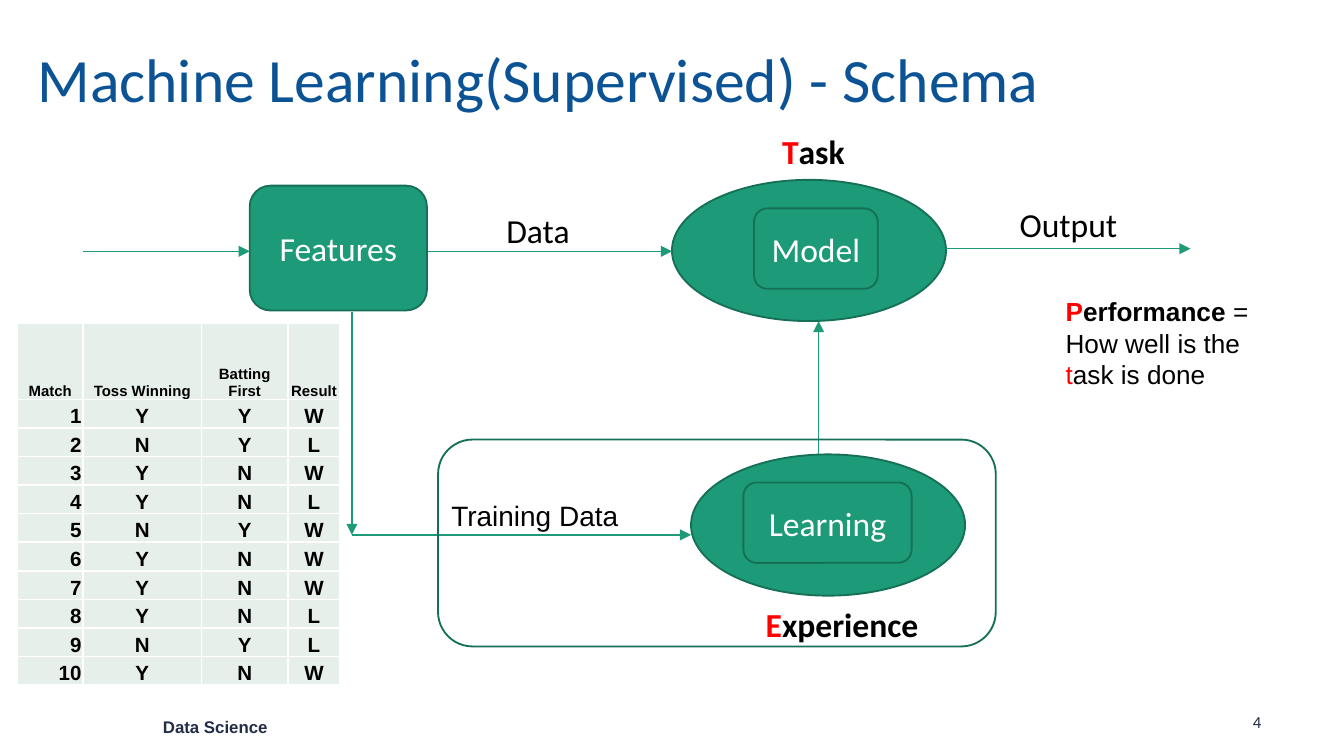
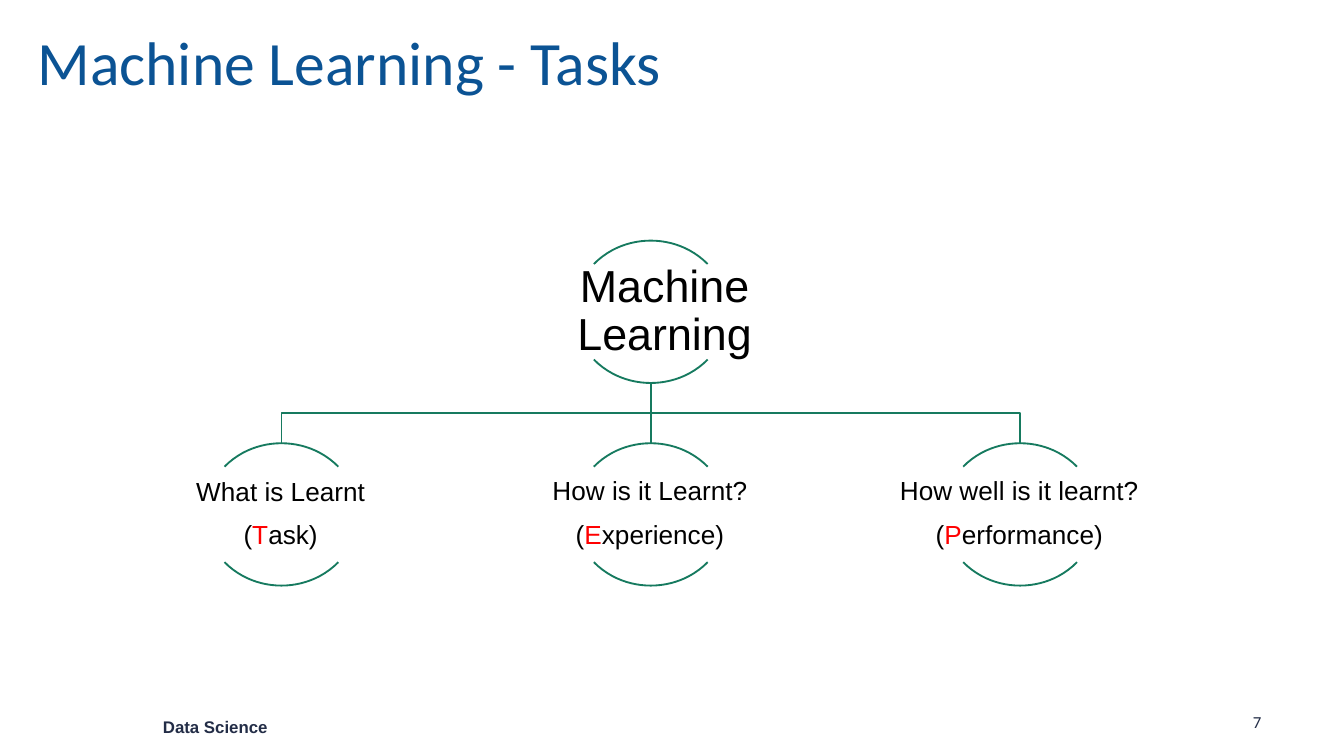
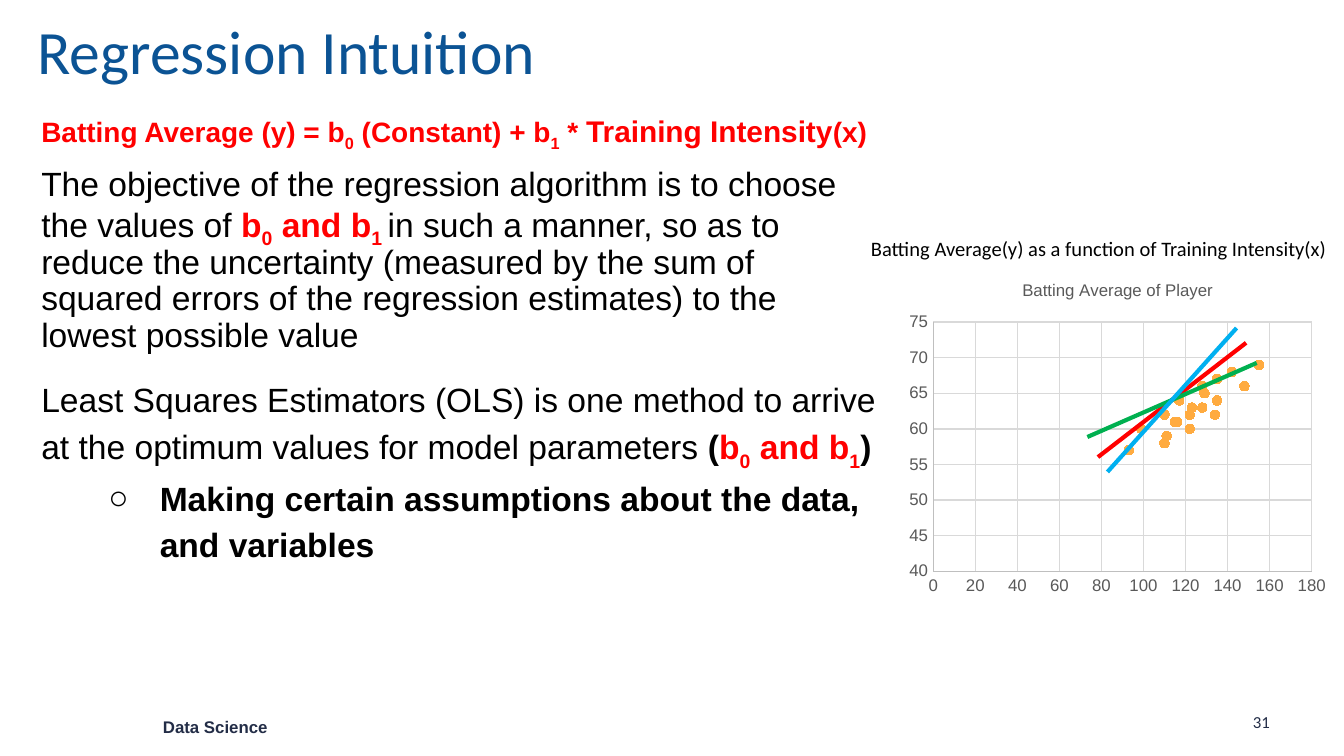
from lxml.etree import SubElement
from pptx import Presentation
from pptx.chart.data import XyChartData
from pptx.dml.color import RGBColor
from pptx.enum.chart import XL_CHART_TYPE as ChartType, XL_MARKER_STYLE as Marker, XL_TICK_MARK as Tick
from pptx.enum.shapes import MSO_CONNECTOR as Connector, MSO_SHAPE as Shape
from pptx.enum.text import MSO_ANCHOR as Anchor, MSO_AUTO_SIZE as AutoSize, PP_ALIGN as Align
from pptx.oxml.ns import qn
from pptx.util import Cm, Pt

BLACK = RGBColor(0x00, 0x00, 0x00)
WHITE = RGBColor(0xFF, 0xFF, 0xFF)
RED = RGBColor(0xFF, 0x00, 0x00)
GREEN = RGBColor(0x00, 0xB0, 0x50)
SKY = RGBColor(0x00, 0xB0, 0xF0)
NAVY = RGBColor(0x23, 0x2D, 0x47)
TITLE_BLUE = RGBColor(0x0B, 0x53, 0x94)
TEAL = RGBColor(0x1D, 0x9A, 0x78)
TEAL_EDGE = RGBColor(0x15, 0x70, 0x57)
TREE_LINE = RGBColor(0x16, 0x7A, 0x5F)
CELL_FILL = RGBColor(0xE7, 0xEF, 0xEB)
ORANGE = RGBColor(0xFF, 0xAB, 0x40)
CHART_TEXT = RGBColor(0x59, 0x59, 0x59)
AXIS_LINE = RGBColor(0xBF, 0xBF, 0xBF)
GRID = RGBColor(0xD9, 0xD9, 0xD9)

TITLE_ONLY, TITLE_AND_BODY = 5, 1


def red(text, **style):
    return text, {"color": RED, **style}


def sub(text, **style):
    return text, {"baseline": -25000, **style}


def write(frame, runs, font="Arial", size=14, color=BLACK, bold=False,
          align=Align.LEFT, spacing=1.0, before=0, bullet=None, margin=0, indent=0, level=0):
    paragraph = frame.paragraphs[0]
    if paragraph.runs:
        paragraph = frame.add_paragraph()
    properties = paragraph._p.get_or_add_pPr()
    properties.set("marL", str(Cm(margin)))
    properties.set("indent", str(Cm(indent)))
    if bullet:
        bullet_color = SubElement(properties, qn("a:buClr"))
        SubElement(bullet_color, qn("a:srgbClr"), val=str(color))
        SubElement(properties, qn("a:buChar"), char=bullet)
    else:
        SubElement(properties, qn("a:buNone"))
    paragraph.level = level
    paragraph.alignment = align
    paragraph.line_spacing = spacing
    paragraph.space_before = Pt(before)
    for part in [runs] if isinstance(runs, str) else runs:
        text, style = (part, {}) if isinstance(part, str) else part
        run = paragraph.add_run()
        run.text = text
        run.font.name = font
        run.font.size = Pt(style.get("size", size))
        run.font.bold = style.get("bold", bold)
        run.font.color.rgb = style.get("color", color)
        if "baseline" in style:
            run._r.get_or_add_rPr().set("baseline", str(style["baseline"]))


class Deck:
    def __init__(self):
        self.file = Presentation()
        self.file.slide_width, self.file.slide_height = Cm(25.4), Cm(14.29)

    def start(self, title, number, top, height, layout=TITLE_ONLY):
        self.slide = self.file.slides.add_slide(self.file.slide_layouts[layout])
        self.shapes = self.slide.shapes
        heading = self.shapes.title
        self.place(heading, 0.53, top, 21.89, height)
        frame = self.prepare(heading, (0.18, 0.1), Anchor.MIDDLE)
        write(frame, title, font="Calibri", size=33, color=TITLE_BLUE, spacing=0.9)
        self.text(2.9, 13.44, 4.17, 0.58, ["Data Science"], inset=(0.18, 0.1),
                  size=9, color=NAVY, bold=True)
        self.text(23.5, 13.36, 1.27, 0.58, [str(number)], inset=(0.18, 0.1),
                  font="Calibri", size=9, color=NAVY)

    def place(self, item, left, top, width, height):
        item.left, item.top, item.width, item.height = map(Cm, (left, top, width, height))

    def prepare(self, item, inset=(0.25, 0.13), anchor=Anchor.TOP, fit=AutoSize.NONE):
        frame = item.text_frame
        frame.word_wrap = True
        frame.auto_size = fit
        frame.vertical_anchor = anchor
        frame.margin_left = frame.margin_right = Cm(inset[0])
        frame.margin_top = frame.margin_bottom = Cm(inset[1])
        return frame

    def text(self, left, top, width, height, paragraphs, inset=(0.25, 0.13),
             anchor=Anchor.TOP, fit=AutoSize.SHAPE_TO_FIT_TEXT, gap=0, **style):
        box = self.shapes.add_textbox(*map(Cm, (left, top, width, height)))
        frame = self.prepare(box, inset, anchor, fit)
        for index, runs in enumerate(paragraphs):
            write(frame, runs, before=gap if index else 0, **style)

    def outline(self, item, color):
        item.shadow.inherit = False
        item.line.color.rgb = color
        item.line.width = Pt(1)

    def shape(self, kind, left, top, width, height, label=None, fill=TEAL, edge=TEAL_EDGE):
        item = self.shapes.add_shape(kind, *map(Cm, (left, top, width, height)))
        self.outline(item, edge)
        if fill is None:
            item.fill.background()
        else:
            item.fill.solid()
            item.fill.fore_color.rgb = fill
        if label:
            write(self.prepare(item, anchor=Anchor.MIDDLE), label, font="Calibri",
                  size=18, color=WHITE, align=Align.CENTER)
        return item

    def line(self, start, end, color=TEAL, width=0.75, arrow=False):
        item = self.shapes.add_connector(Connector.STRAIGHT, *map(Cm, (*start, *end)))
        item.line.color.rgb = color
        item.line.width = Pt(width)
        properties = item._element.spPr
        if arrow:
            SubElement(properties.find(qn("a:ln")), qn("a:tailEnd"), type="triangle")
        SubElement(properties, qn("a:effectLst"))

    def elbow(self, points):
        start, *rest = [(Cm(x), Cm(y)) for x, y in points]
        builder = self.shapes.build_freeform(*start)
        builder.add_line_segments(rest, close=False)
        item = builder.convert_to_shape()
        item.fill.background()
        self.outline(item, TREE_LINE)

    def node(self, left, top, paragraphs, width, **style):
        for first, last in ((132, 192), (24, 84)):
            arc = self.shape(Shape.ARC, left, top, 2.9, 2.69, fill=None, edge=TREE_LINE)
            arc.adjustments[0], arc.adjustments[1] = first, last
        self.text(left - 1.45, top + 0.48, width, 1.73, paragraphs, inset=(0.05, 0.05),
                  anchor=Anchor.MIDDLE, fit=AutoSize.NONE, align=Align.CENTER,
                  spacing=0.9, **style)

    def table(self, left, top, widths, heights, rows):
        frame = self.shapes.add_table(len(rows), len(widths), Cm(left), Cm(top),
                                      Cm(sum(widths)), Cm(sum(heights)))
        grid = frame.table
        grid.first_row = grid.horz_banding = False
        for column, width in zip(grid.columns, widths):
            column.width = Cm(width)
        for r, (row, height) in enumerate(zip(rows, heights)):
            grid.rows[r].height = Cm(height)
            for c, value in enumerate(row):
                align = Align.RIGHT if r and c == 0 else Align.CENTER
                self.cell(grid.cell(r, c), value, 11 if r else 8, align)

    def cell(self, cell, value, size, align):
        cell.margin_left = cell.margin_right = cell.margin_top = Cm(0.03)
        cell.margin_bottom = 0
        cell.vertical_anchor = Anchor.BOTTOM
        properties = cell._tc.get_or_add_tcPr()
        for side in ("a:lnL", "a:lnR", "a:lnT", "a:lnB"):
            border = SubElement(properties, qn(side), w=str(Pt(1)))
            SubElement(SubElement(border, qn("a:solidFill")), qn("a:srgbClr"), val=str(WHITE))
        cell.fill.solid()
        cell.fill.fore_color.rgb = CELL_FILL
        write(cell.text_frame, value, size=size, bold=True, align=align)

    def scatter(self, left, top, width, height, title, points, x_scale, y_scale):
        data = XyChartData()
        series = data.add_series("Series 1")
        for x, y in points:
            series.add_data_point(x, y)
        chart = self.shapes.add_chart(ChartType.XY_SCATTER,
                                      *map(Cm, (left, top, width, height)), data).chart
        chart.font.name, chart.font.size = "Arial", Pt(10)
        chart.font.color.rgb = BLACK
        chart.has_legend = False
        chart.has_title = True
        write(chart.chart_title.text_frame, title, size=9, color=CHART_TEXT, align=Align.CENTER)
        chart.plots[0].vary_by_categories = False
        dots = chart.plots[0].series[0]
        dots.format.line.fill.background()
        dots.marker.style, dots.marker.size = Marker.CIRCLE, 5
        dots.marker.format.fill.solid()
        dots.marker.format.fill.fore_color.rgb = ORANGE
        dots.marker.format.line.color.rgb = ORANGE
        for axis, scale in ((chart.category_axis, x_scale), (chart.value_axis, y_scale)):
            axis.minimum_scale, axis.maximum_scale, axis.major_unit = scale
            axis.major_tick_mark = axis.minor_tick_mark = Tick.NONE
            axis.has_major_gridlines = True
            for line, color in ((axis.format.line, AXIS_LINE),
                                (axis.major_gridlines.format.line, GRID)):
                line.color.rgb = color
                line.width = Pt(0.75)
            labels = axis.tick_labels.font
            labels.name, labels.size = "Arial", Pt(9)
            labels.color.rgb = CHART_TEXT


def schema_slide(deck):
    deck.start("Machine Learning(Supervised) - Schema", 4, 0.18, 2.77)
    deck.shape(Shape.OVAL, 12.7, 3.4, 5.18, 2.67)
    deck.shape(Shape.OVAL, 13.06, 8.59, 5.18, 2.67)
    deck.shape(Shape.ROUNDED_RECTANGLE, 4.72, 3.51, 3.35, 2.36, "Features")
    flows = [
        ((8.08, 4.75), (12.7, 4.75)),
        ((17.88, 4.7), (22.5, 4.7)),
        ((6.65, 10.11), (13.06, 10.11)),
        ((6.65, 5.89), (6.65, 10.11)),
        ((15.47, 8.59), (15.47, 6.07)),
        ((1.57, 4.75), (4.72, 4.75)),
    ]
    for start, end in flows:
        deck.line(start, end, arrow=True)
    deck.text(8.28, 9.3, 4.11, 0.89, ["Training Data"], size=15)
    deck.shape(Shape.ROUNDED_RECTANGLE, 14.25, 3.94, 2.34, 1.52, "Model")
    deck.shape(Shape.ROUNDED_RECTANGLE, 14.05, 9.12, 3.18, 1.52, "Learning")
    captions = [
        (9.32, 3.84, 2.34, "Data", False),
        (19.02, 3.73, 2.59, "Output", False),
        (14.53, 2.34, 2.08, [red("T"), "ask"], True),
        (14.22, 11.28, 3.66, [red("E"), "xperience"], True),
    ]
    for left, top, width, caption, bold in captions:
        deck.text(left, top, width, 1.02, [caption], font="Calibri", size=18, bold=bold)
    deck.shape(Shape.ROUNDED_RECTANGLE, 8.28, 8.31, 10.54, 3.91, fill=None)
    deck.text(19.89, 5.46, 4.78, 2.06, [
        [red("P", bold=True), ("erformance ", {"bold": True}), "="],
        ["How well is the ", red("t"), "ask is done"],
    ])
    matches = ["YYW", "NYL", "YNW", "YNL", "NYW", "YNW", "YNW", "YNL", "NYL", "YNW"]
    rows = [["Match", "Toss Winning", "Batting First", "Result"]]
    rows += [[str(number), *match] for number, match in enumerate(matches, 1)]
    deck.table(0.33, 6.1, [1.24, 2.24, 1.63, 0.99], [1.45] + [0.54] * len(matches), rows)


def tasks_slide(deck):
    deck.start("Machine Learning - Tasks", 7, 0.18, 2.11)
    root_left, root_top, child_top, step = 10.85, 4.55, 8.38, 6.98
    center, trunk_top, branch_top = 12.3, 7.24, 7.8
    questions = [
        ("What is Learnt", "T", "ask)", 7.7),
        ("How is it Learnt?", "E", "xperience)", 8.4),
        ("How well is it learnt?", "P", "erformance)", 8.4),
    ]
    for offset in (step, -step):
        deck.elbow([(center, trunk_top), (center, branch_top),
                    (center + offset, branch_top), (center + offset, child_top)])
    deck.line((center, trunk_top), (center, child_top), TREE_LINE, 1)
    deck.node(root_left, root_top, ["Machine Learning"], 6.32, size=24)
    for column, (question, initial, rest, gap) in enumerate(questions, -1):
        deck.node(root_left + column * step, child_top,
                  [question, ["(", red(initial), rest]], 5.77, gap=gap)


def regression_slide(deck):
    deck.start("Regression Intuition", 31, -0.03, 2.11, TITLE_AND_BODY)
    deck.text(16.21, 4.22, 9.42, 0.74,
              ["Batting Average(y) as a function of Training Intensity(x)"],
              inset=(0.25, 0.25), fit=AutoSize.NONE, font="Calibri", size=11)
    body = deck.slide.placeholders[1]
    deck.place(body, 0.23, 2.01, 16.64, 14.81)
    frame = deck.prepare(body)
    strong = {"bold": True}
    write(frame, ["Batting Average (y) = b", sub("0", color=RED), " (Constant) + b",
                  sub("1", color=RED), " * ", ("Training Intensity", {"size": 16}), "(x)"],
          size=15, color=RED, bold=True, spacing=0.9, margin=0.3)
    write(frame, ["The objective of the regression algorithm is to choose the values of ",
                  red("b", **strong), sub("0", color=RED, **strong), red(" and b", **strong),
                  sub("1 ", color=RED, **strong),
                  "in such a manner, so as to reduce the uncertainty (measured by the sum of "
                  "squared errors of the regression estimates) to the lowest possible value"],
          size=18, spacing=0.9, before=10, margin=0.3)
    write(frame, ["Least Squares Estimators (OLS) is one method to arrive at the optimum "
                  "values for model parameters ", ("(", strong),
                  red("b", **strong), sub("0", color=RED, **strong), red(" and b", **strong),
                  sub("1", color=RED, **strong), (")", strong)],
          size=18, spacing=1.15, before=10, margin=0.3)
    write(frame, "Making certain assumptions about the data, and variables", size=18,
          bold=True, spacing=1.15, bullet="○", margin=2.54, indent=-0.97, level=1)
    intensity = [93, 99, 110, 110, 111, 115, 116, 117, 122, 122,
                 123, 128, 128, 129, 134, 135, 135, 142, 148, 155]
    average = [57, 60, 58, 62, 59, 61, 61, 64, 60, 62,
               63, 63, 66, 65, 62, 64, 67, 68, 66, 69]
    deck.scatter(17.02, 4.95, 8.2, 6.45, "Batting Average of Player",
                 zip(intensity, average), (0, 180, 20), (40, 75, 5))
    candidate_fits = [
        ((20.75, 8.64), (23.55, 6.48), RED),
        ((20.55, 8.26), (23.75, 6.86), GREEN),
        ((20.93, 8.92), (23.37, 6.2), SKY),
    ]
    for start, end, color in candidate_fits:
        deck.line(start, end, color, 2.25)


def main():
    deck = Deck()
    schema_slide(deck)
    tasks_slide(deck)
    regression_slide(deck)
    deck.file.save("out.pptx")


if __name__ == "__main__":
    main()
